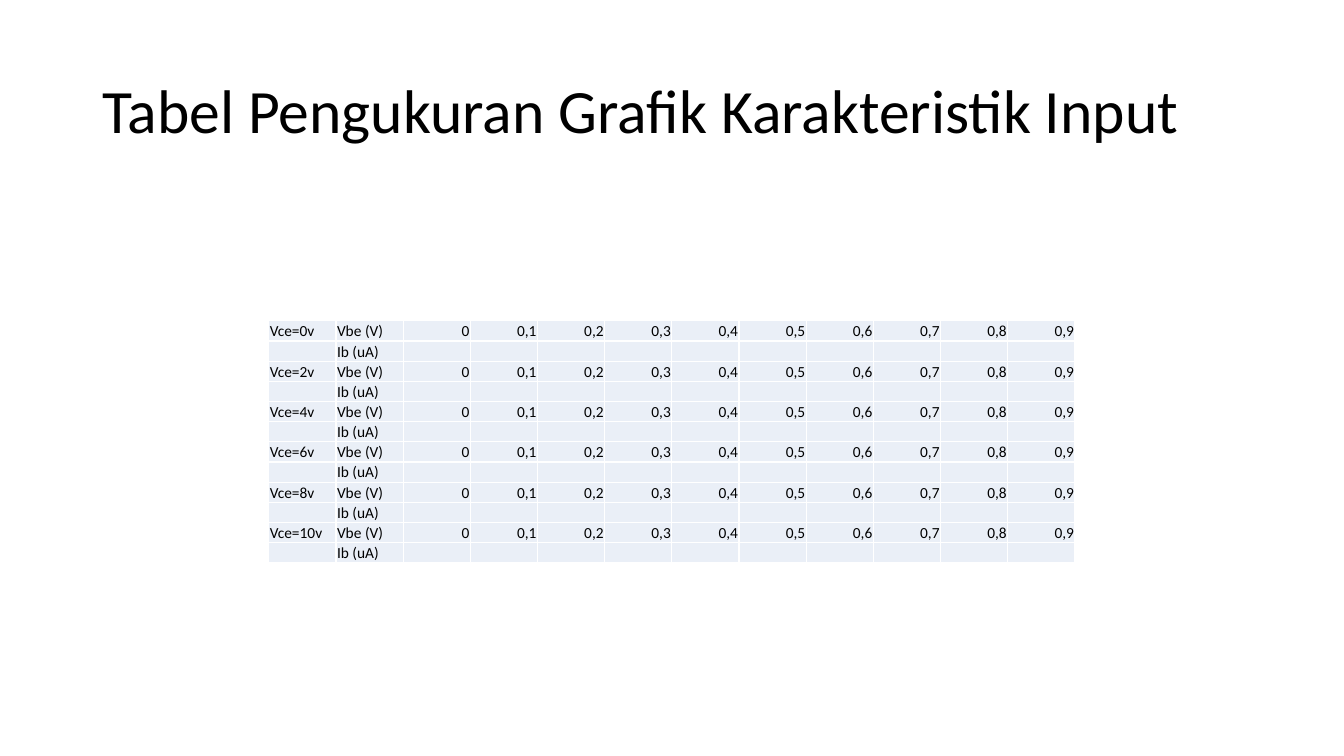
import pptx
import pptx.dml.color
import pptx.enum.text
import pptx.oxml.ns
import pptx.util
from lxml import etree

Pt = pptx.util.Pt
ALIGN = pptx.enum.text.PP_ALIGN
ANCHOR = pptx.enum.text.MSO_ANCHOR
qn = pptx.oxml.ns.qn

FONT = "Calibri"
INK, CELL_FILL, BORDER = "000000", "EAEFF7", "FFFFFF"
COLLECTOR_VOLTAGES = range(0, 11, 2)
BASE_VOLTAGES = ["0"] + [f"0,{tenth}" for tenth in range(1, 10)]
COLUMN_WIDTH, ROW_HEIGHT, CELL_SIZE = 48, 14.4, 11


def colour(value):
    return pptx.dml.color.RGBColor.from_string(value)


def write_text(frame, text, size, align=ALIGN.LEFT, line_spacing=None):
    para = frame.paragraphs[0]
    para.alignment = align
    para.line_spacing = line_spacing
    span = para.add_run()
    span.text = text
    span.font.name = FONT
    span.font.size = Pt(size)
    span.font.color.rgb = colour(INK)


def add_title(page, text):
    title = page.shapes.title
    title.left, title.top, title.width, title.height = Pt(66), Pt(28.8), Pt(828), Pt(104.4)
    frame = title.text_frame
    frame.word_wrap = True
    frame.auto_size = pptx.enum.text.MSO_AUTO_SIZE.NONE
    frame.vertical_anchor = ANCHOR.MIDDLE
    write_text(frame, text, 44, line_spacing=0.9)


def set_borders(cell):
    properties = cell._tc.get_or_add_tcPr()
    for side in ("lnL", "lnR", "lnT", "lnB"):
        line = etree.SubElement(properties, qn(f"a:{side}"), w=str(Pt(1)))
        fill = etree.SubElement(line, qn("a:solidFill"))
        etree.SubElement(fill, qn("a:srgbClr"), val=BORDER)


def format_cell(cell, text, align):
    set_borders(cell)
    cell.fill.solid()
    cell.fill.fore_color.rgb = colour(CELL_FILL)
    cell.margin_left = cell.margin_right = cell.margin_top = Pt(0.75)
    cell.margin_bottom = 0
    cell.vertical_anchor = ANCHOR.BOTTOM
    if text:
        write_text(cell.text_frame, text, CELL_SIZE, align)
    else:
        # Small end mark keeps an empty cell from stretching its row
        para = cell.text_frame.paragraphs[0]
        etree.SubElement(para._p, qn("a:endParaRPr"), sz=str(CELL_SIZE * 100))


def add_measurement_table(page, rows, left, top):
    column_count = len(rows[0])
    table = page.shapes.add_table(
        len(rows), column_count, Pt(left), Pt(top),
        Pt(COLUMN_WIDTH * column_count), Pt(ROW_HEIGHT * len(rows)),
    ).table
    table.first_row = table.horz_banding = False
    for column in table.columns:
        column.width = Pt(COLUMN_WIDTH)
    for row, texts in zip(table.rows, rows):
        row.height = Pt(ROW_HEIGHT)
        for index, (cell, text) in enumerate(zip(row.cells, texts)):
            format_cell(cell, text, ALIGN.LEFT if index < 2 else ALIGN.RIGHT)


def main():
    deck = pptx.Presentation()
    deck.slide_width, deck.slide_height = Pt(960), Pt(540)
    page = deck.slides.add_slide(deck.slide_layouts[5])

    add_title(page, "Tabel Pengukuran Grafik Karakteristik Input")

    # Each collector voltage has a voltage row and a current row to fill in
    rows = []
    for voltage in COLLECTOR_VOLTAGES:
        rows.append([f"Vce={voltage}v", "Vbe (V)"] + BASE_VOLTAGES)
        rows.append(["", "Ib (uA)"] + [""] * len(BASE_VOLTAGES))
    add_measurement_table(page, rows, left=192, top=229.2)

    deck.save("out.pptx")


if __name__ == "__main__":
    main()
